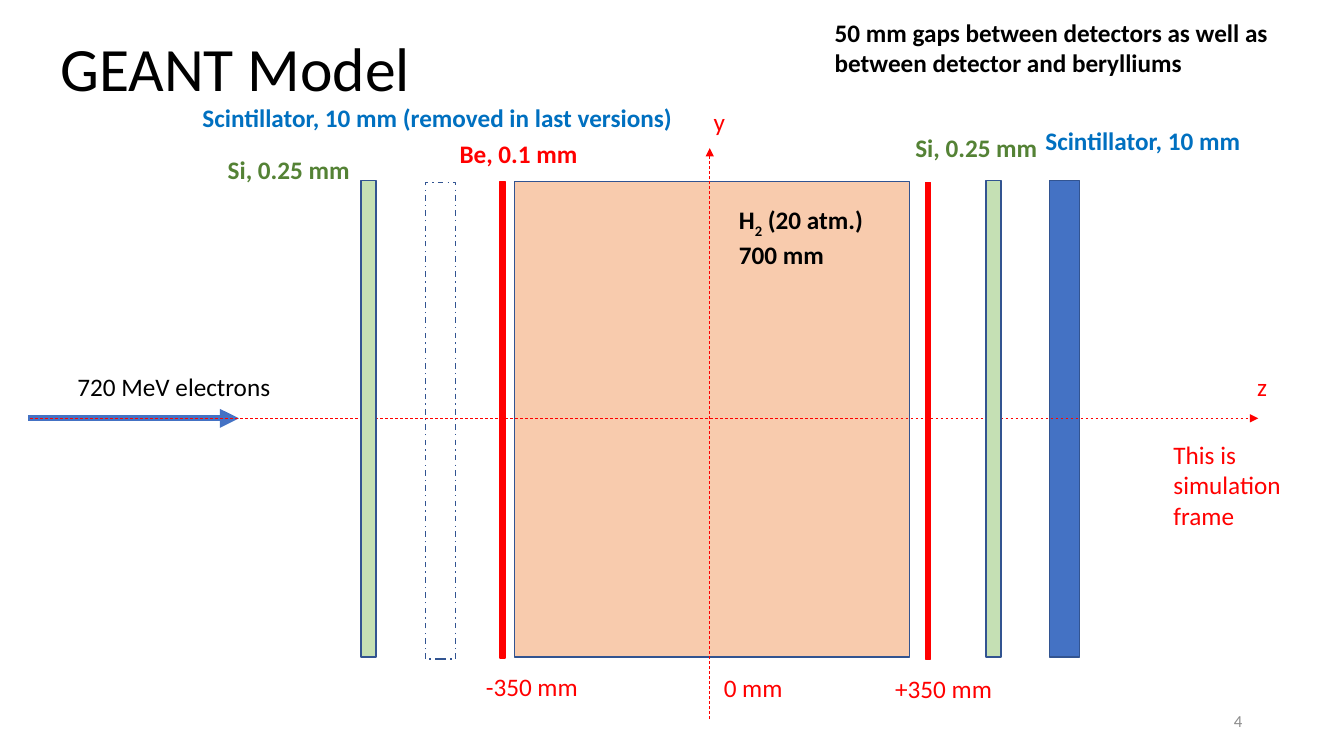
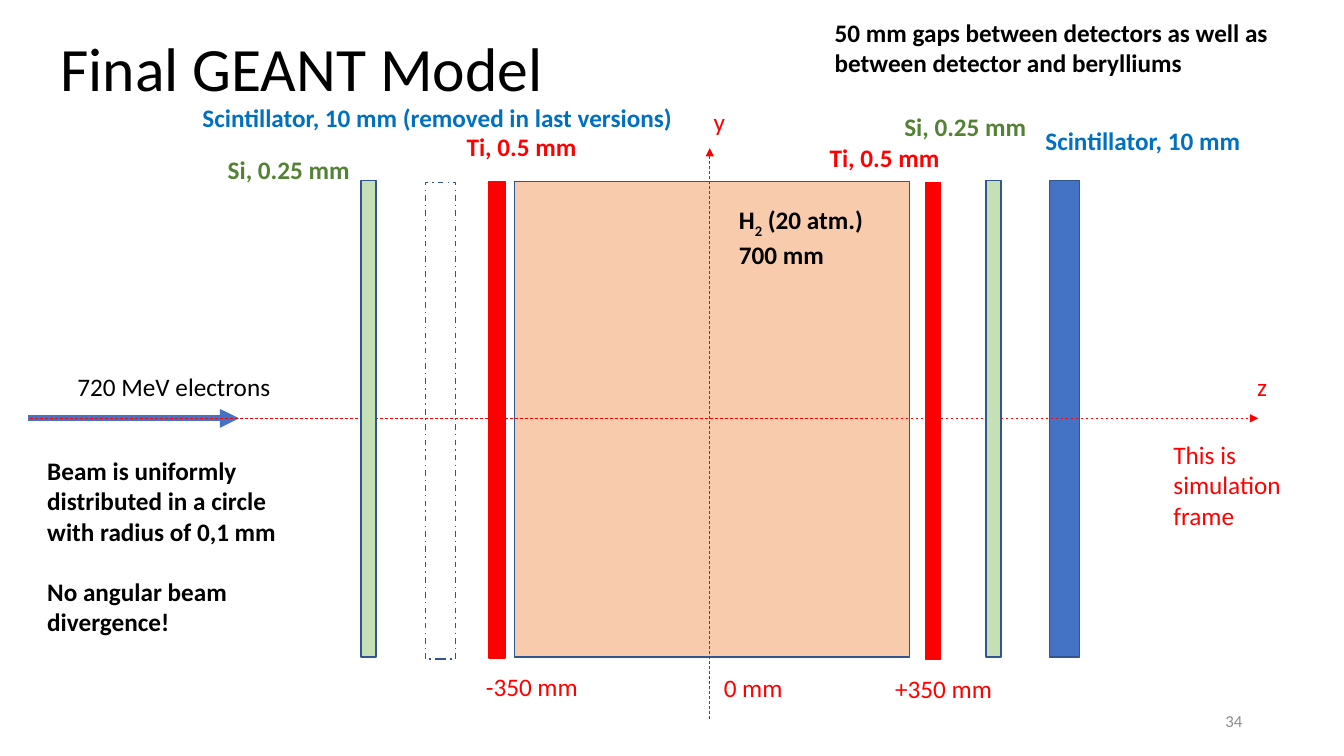
from dataclasses import dataclass
from typing import Any, NamedTuple, Optional

from lxml import etree
from pptx import Presentation
from pptx import util as u
from pptx.dml import color
from pptx.enum import dml, shapes, text
from pptx.oxml import ns


@dataclass(frozen=True)
class Theme:
    font: str = "Calibri"
    title_size: int = 44
    label_size: int = 18
    number_size: int = 12
    black: str = "000000"
    red: str = "FF0000"
    blue: str = "4472C4"
    outline: str = "325491"
    gas: str = "F8CBAD"
    silicon: str = "C5E0B4"
    silicon_text: str = "548235"
    scintillator_text: str = "0070C0"
    grey: str = "8C8C8C"


THEME = Theme()


class Span(NamedTuple):
    words: str
    baseline: int = 0


class Label(NamedTuple):
    left: float
    top: float
    width: float
    paragraphs: tuple[Any, ...]
    ink: str = THEME.black
    bold: bool = False
    height: float = 0.4
    size: int = THEME.label_size
    wrap: bool = True
    middle: bool = False
    align: Any = text.PP_ALIGN.LEFT
    line_spacing: float = 1.0
    gap: float = 0


class Slab(NamedTuple):
    left: float
    top: float
    width: float
    fill: Optional[str]
    line: str = THEME.outline
    height: float = 4.73
    dash: Any = None


class Arrow(NamedTuple):
    start: tuple[float, float]
    end: tuple[float, float]
    ink: str
    weight: float
    dash: Any = None


@dataclass(frozen=True)
class Model:
    title: str
    number: str
    windows: tuple[Slab, ...]
    labels: tuple[Label, ...]


BEAM_Y = 4.15
CENTRE_X = 7.04
BACK_SLABS = (
    Slab(10.41, 1.79, 0.3, THEME.blue),
    Slab(5.1, 1.8, 3.92, THEME.gas, height=4.72),
)
FRONT_SLABS = (
    Slab(9.78, 1.79, 0.15, THEME.silicon),
    Slab(4.22, 1.81, 0.3, None, dash=dml.MSO_LINE.DASH_DOT),
    Slab(3.58, 1.79, 0.15, THEME.silicon),
)
ARROWS = (
    Arrow((0.28, BEAM_Y), (2.37, BEAM_Y), THEME.blue, 4.5),
    Arrow((0.3, BEAM_Y), (12.48, BEAM_Y), THEME.red, 0.5, dml.MSO_LINE.DASH),
    Arrow((CENTRE_X, 7.13), (CENTRE_X, 1.47), THEME.red, 0.5, dml.MSO_LINE.DASH),
)


def window(left: float, top: float, width: float) -> Slab:
    return Slab(left, top, width, THEME.red, THEME.red)


def window_label(left: float, top: float, words: str) -> Label:
    return Label(left, top, 1.37, (words,), THEME.red, True)


def silicon_label(left: float, top: float) -> Label:
    return Label(left, top, 1.61, ("Si, 0.25 mm",), THEME.silicon_text, True)


LABELS = (
    Label(0.67, 3.63, 2.15, ("720 MeV electrons",)),
    Label(7.23, 1.98, 1.76,
          ((Span("H"), Span("2", -25000), Span(" (20 atm.)")), "700 mm"),
          bold=True, height=0.71),
    Label(6.98, 1.01, 0.32, ("y",), THEME.red, wrap=False),
    Label(12.37, 3.63, 0.3, ("z",), THEME.red, wrap=False),
    Label(10.27, 1.19, 2.27, ("Scintillator, 10 mm",), THEME.scintillator_text, True),
    Label(1.91, 0.97, 5.23, ("Scintillator, 10 mm (removed in last versions)",),
          THEME.scintillator_text, True),
    silicon_label(2.16, 1.48),
    Label(8.78, 6.63, 1.54, ("+350 mm",), THEME.red),
    Label(4.72, 6.61, 1.54, ("-350 mm",), THEME.red),
    Label(7.08, 6.62, 0.81, ("0 mm",), THEME.red),
    Label(11.54, 4.31, 1.51, ("This is simulation frame",), THEME.red, height=1.01),
    Label(8.18, 0.12, 5.15,
          ("50 mm gaps between detectors as well as between detector and berylliums",),
          bold=True, height=0.71),
)
MODELS = (
    Model("GEANT Model", "4",
          (window(9.18, 1.81, 0.05), window(4.96, 1.8, 0.05)),
          (window_label(4.46, 1.32, "Be, 0.1 mm"), silicon_label(8.98, 1.26))),
    Model("Final GEANT Model", "34",
          (window(9.18, 1.81, 0.15), window(4.85, 1.8, 0.16)),
          (window_label(8.13, 1.36, "Ti, 0.5 mm"),
           window_label(4.53, 1.25, "Ti, 0.5 mm"),
           silicon_label(8.87, 1.06),
           Label(0.37, 4.47, 2.59,
                 ("Beam is uniformly distributed in a circle with radius of 0,1 mm",
                  "No angular beam divergence!"),
                 bold=True, height=1.92, gap=21.6))),
)


def apply(target: Any, formats: dict[str, Any]) -> None:
    for name, value in formats.items():
        setattr(target, name, value)


def rgb(value: str) -> color.RGBColor:
    return color.RGBColor.from_string(value)


def style_line(line: Any, ink: str, weight: float, dash: Any) -> None:
    line.color.rgb = rgb(ink)
    line.width = u.Pt(weight)
    if dash is not None:
        line.dash_style = dash


def draw_slab(page: Any, slab: Slab) -> None:
    box = page.shapes.add_shape(
        shapes.MSO_SHAPE.RECTANGLE, u.Inches(slab.left), u.Inches(slab.top),
        u.Inches(slab.width), u.Inches(slab.height))
    box.shadow.inherit = False
    if slab.fill is None:
        box.fill.background()
    else:
        box.fill.solid()
        box.fill.fore_color.rgb = rgb(slab.fill)
    style_line(box.line, slab.line, 1, slab.dash)


def draw_arrow(page: Any, arrow: Arrow) -> None:
    ends = [u.Inches(value) for value in (*arrow.start, *arrow.end)]
    connector = page.shapes.add_connector(shapes.MSO_CONNECTOR.STRAIGHT, *ends)
    style_line(connector.line, arrow.ink, arrow.weight, arrow.dash)
    properties = connector._element.spPr
    head = etree.SubElement(properties.find(ns.qn("a:ln")), ns.qn("a:tailEnd"))
    head.set("type", "triangle")
    etree.SubElement(properties, ns.qn("a:effectLst"))


def draw_label(page: Any, label: Label) -> None:
    box = page.shapes.add_textbox(
        u.Inches(label.left), u.Inches(label.top),
        u.Inches(label.width), u.Inches(label.height))
    frame = box.text_frame
    anchor = text.MSO_ANCHOR.MIDDLE if label.middle else text.MSO_ANCHOR.TOP
    fit = text.MSO_AUTO_SIZE.NONE if label.middle else text.MSO_AUTO_SIZE.SHAPE_TO_FIT_TEXT
    apply(frame, {"word_wrap": label.wrap, "auto_size": fit, "vertical_anchor": anchor})
    for index, content in enumerate(label.paragraphs):
        para = frame.add_paragraph() if index else frame.paragraphs[0]
        apply(para, {"alignment": label.align, "line_spacing": label.line_spacing,
                     "space_before": u.Pt(label.gap if index else 0)})
        spans = (Span(content),) if isinstance(content, str) else content
        for piece in spans:
            span = para.add_run()
            span.text = piece.words
            apply(span.font, {"name": THEME.font, "size": u.Pt(label.size),
                              "bold": label.bold})
            span.font.color.rgb = rgb(label.ink)
            if piece.baseline:
                span._r.get_or_add_rPr().set("baseline", str(piece.baseline))


def draw_page(deck: Any, model: Model) -> None:
    page = deck.slides.add_slide(deck.slide_layouts[6])
    title = Label(0.5, 0.19, 11.5, (model.title,), height=1.04,
                  size=THEME.title_size, middle=True, line_spacing=0.9)
    number = Label(9.42, 6.95, 3, (model.number,), THEME.grey,
                   size=THEME.number_size, middle=True, align=text.PP_ALIGN.RIGHT)
    draw_label(page, title)
    for slab in BACK_SLABS:
        draw_slab(page, slab)
    for arrow in ARROWS:
        draw_arrow(page, arrow)
    for slab in FRONT_SLABS + model.windows:
        draw_slab(page, slab)
    for label in LABELS + model.labels + (number,):
        draw_label(page, label)


def main() -> None:
    deck = Presentation()
    apply(deck, {"slide_width": u.Inches(13.33), "slide_height": u.Inches(7.5)})
    for model in MODELS:
        draw_page(deck, model)
    deck.save("out.pptx")


if __name__ == "__main__":
    main()
